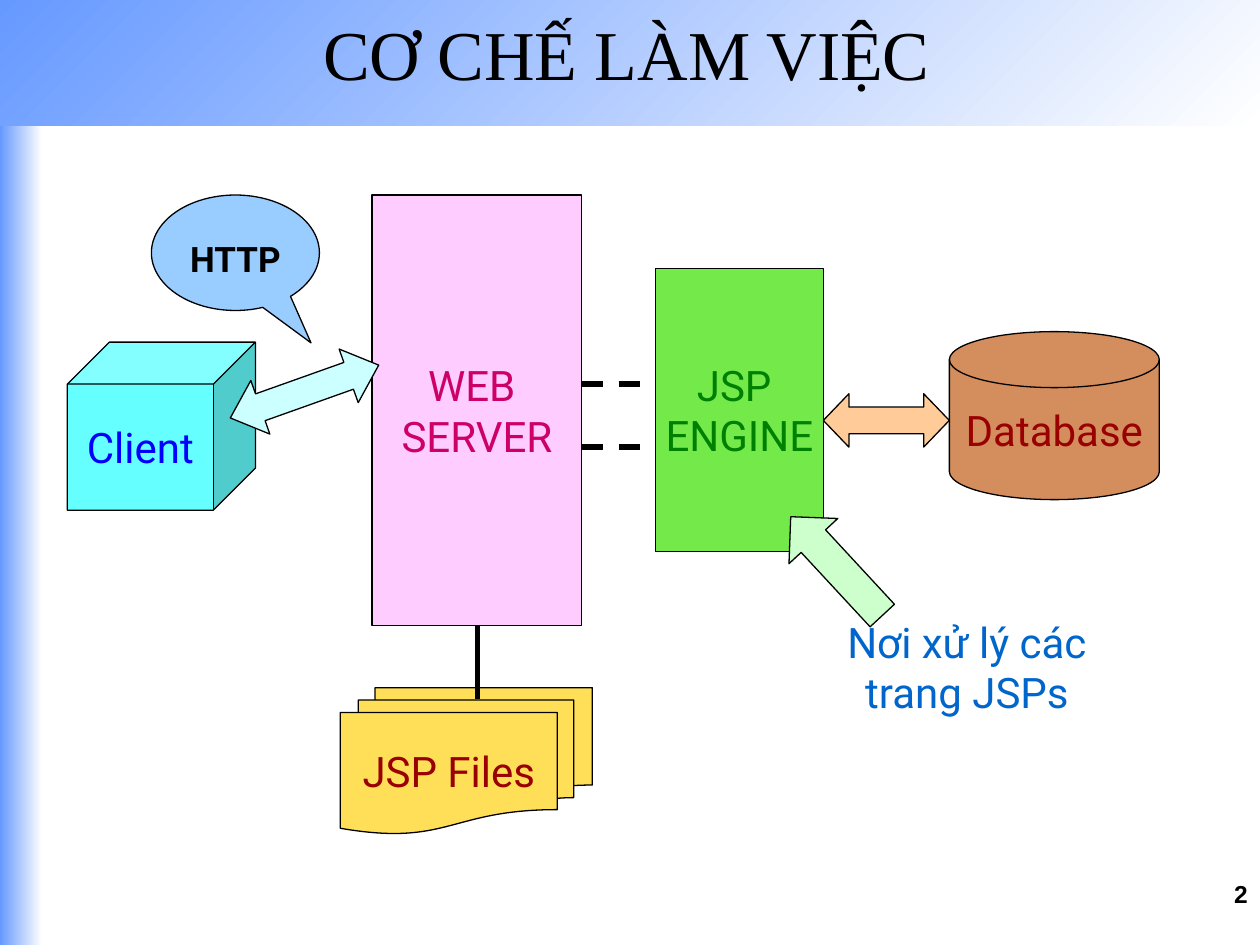
import pptx
import pptx.util
import pptx.dml.color
import pptx.enum.dml
import pptx.enum.shapes
import pptx.enum.text
from pptx.dml.color import RGBColor
from pptx.enum.shapes import MSO_SHAPE
from pptx.enum.text import MSO_ANCHOR, PP_ALIGN
from pptx.util import Pt

BLACK = RGBColor(0x00, 0x00, 0x00)
WHITE = RGBColor(0xFF, 0xFF, 0xFF)
BAND_BLUE = RGBColor(0x66, 0x99, 0xFF)
PINK = RGBColor(0xFF, 0xCC, 0xFF)
MAGENTA = RGBColor(0xCC, 0x00, 0x66)
GREEN = RGBColor(0x74, 0xEA, 0x4A)
DARK_GREEN = RGBColor(0x00, 0x80, 0x00)
PALE_GREEN = RGBColor(0xCC, 0xFF, 0xCC)
BROWN = RGBColor(0xD4, 0x8D, 0x5C)
DARK_RED = RGBColor(0x99, 0x00, 0x00)
CYAN = RGBColor(0x66, 0xFF, 0xFF)
PALE_CYAN = RGBColor(0xCC, 0xFF, 0xFF)
BLUE = RGBColor(0x00, 0x00, 0xFF)
NOTE_BLUE = RGBColor(0x00, 0x66, 0xCC)
YELLOW = RGBColor(0xFF, 0xDF, 0x57)
SKY = RGBColor(0x99, 0xCC, 0xFF)
ORANGE = RGBColor(0xFF, 0xCC, 0x99)


class Diagram:
    font = "Roboto"
    size = 24
    outline = 0.75

    def __init__(self, slide):
        self.s = slide

    def label(self, sp, text, color, size=None, font=None, bold=False,
              align=PP_ALIGN.CENTER, anchor=MSO_ANCHOR.MIDDLE, wrap=False, top=3.6):
        tf = sp.text_frame
        tf.word_wrap = wrap
        tf.vertical_anchor = anchor
        tf.margin_left = tf.margin_right = Pt(7.2)
        tf.margin_top, tf.margin_bottom = Pt(top), Pt(3.6)
        for i, line in enumerate(text.split("\n")):
            p = tf.add_paragraph() if i else tf.paragraphs[0]
            p.text = line
            p.alignment = align
            p.font.name = font or self.font
            p.font.size = Pt(size or self.size)
            p.font.bold = bold
            p.font.color.rgb = color

    def shape(self, kind, x, y, w, h, fill, adj=(), rotation=0):
        sp = self.s.shapes.add_shape(kind, Pt(x), Pt(y), Pt(w), Pt(h))
        sp.shadow.inherit = False
        sp.fill.solid()
        sp.fill.fore_color.rgb = fill
        sp.line.color.rgb = BLACK
        sp.line.width = Pt(self.outline)
        sp.rotation = rotation
        for i, value in enumerate(adj):
            sp.adjustments[i] = value
        return sp

    def band(self, w, h, angle):
        sp = self.shape(MSO_SHAPE.RECTANGLE, 0, 0, w, h, WHITE)
        sp.line.fill.background()
        sp.fill.gradient()
        sp.fill.gradient_angle = angle
        for stop, color in zip(sp.fill.gradient_stops, (BAND_BLUE, WHITE)):
            stop.color.rgb = color

    def text(self, x, y, w, h, text, color, **style):
        sp = self.s.shapes.add_textbox(Pt(x), Pt(y), Pt(w), Pt(h))
        self.label(sp, text, color, wrap=True, **style)

    def line(self, x1, y1, x2, y2, dash=None):
        cx = self.s.shapes.add_connector(
            pptx.enum.shapes.MSO_CONNECTOR.STRAIGHT, Pt(x1), Pt(y1), Pt(x2), Pt(y2))
        cx.line.color.rgb = BLACK
        cx.line.width = Pt(3)
        if dash:
            cx.line.dash_style = dash
        cx._element.spPr.append(pptx.oxml.parse_xml(
            '<a:effectLst xmlns:a="http://schemas.openxmlformats.org/drawingml/2006/main"/>'))


def main():
    prs = pptx.Presentation()
    prs.slide_width, prs.slide_height = Pt(720), Pt(540)
    d = Diagram(prs.slides.add_slide(prs.slide_layouts[6]))

    # Background bands and title
    d.band(24, 540, 0)
    d.band(720, 72, 315)
    d.text(16.5, 0, 683, 60.5, "CƠ CHẾ LÀM VIỆC", BLACK, size=40, font="Times New Roman")

    # Components
    components = [
        (MSO_SHAPE.RECTANGLE, 212.5, 111.5, 120, 246, PINK, "WEB \nSERVER", MAGENTA),
        (MSO_SHAPE.RECTANGLE, 374.5, 153.5, 96, 161.5, GREEN, "JSP \nENGINE", DARK_GREEN),
        (MSO_SHAPE.FLOWCHART_MAGNETIC_DISK, 542.5, 189.5, 120, 96, BROWN, "Database", DARK_RED),
        (MSO_SHAPE.CUBE, 38.5, 195.5, 107.5, 96, CYAN, "Client", BLUE),
        (MSO_SHAPE.FLOWCHART_MULTIDOCUMENT, 194.5, 393, 144, 83.5, YELLOW, "JSP Files", DARK_RED),
    ]
    for kind, x, y, w, h, fill, name, color in components:
        d.label(d.shape(kind, x, y, w, h, fill), name, color)

    # Protocol callout
    sp = d.shape(MSO_SHAPE.OVAL_CALLOUT, 86.5, 111.5, 96, 66, SKY, (0.45, 0.78))
    d.label(sp, "HTTP", BLACK, size=20, bold=True, anchor=MSO_ANCHOR.TOP, wrap=True, top=14.4)

    # Links from the web server
    d.line(272.75, 357.5, 272.75, 399.5)
    for y in (219.5, 255.5):
        d.line(332.5, y, 374.5, y, pptx.enum.dml.MSO_LINE.DASH)

    # Block arrows and note
    d.shape(MSO_SHAPE.LEFT_RIGHT_ARROW, 470.5, 225, 72, 30.5, ORANGE, (0.5, 0.48))
    d.text(456, 348.5, 193, 65, "Nơi xử lý các trang JSPs", NOTE_BLUE, anchor=MSO_ANCHOR.TOP)
    d.shape(MSO_SHAPE.RIGHT_ARROW, 439.5, 304.5, 77, 38, PALE_GREEN, (0.5, 0.5), 227.2)
    d.shape(MSO_SHAPE.LEFT_RIGHT_ARROW, 129, 207.5, 90, 32.5, PALE_CYAN, (0.5, 0.56), 340.4)

    # Page number
    d.text(516, 499, 204, 37.5, "2", BLACK, size=14, font="Arial", bold=True,
           align=PP_ALIGN.RIGHT, anchor=MSO_ANCHOR.TOP)

    prs.save("out.pptx")


if __name__ == "__main__":
    main()
